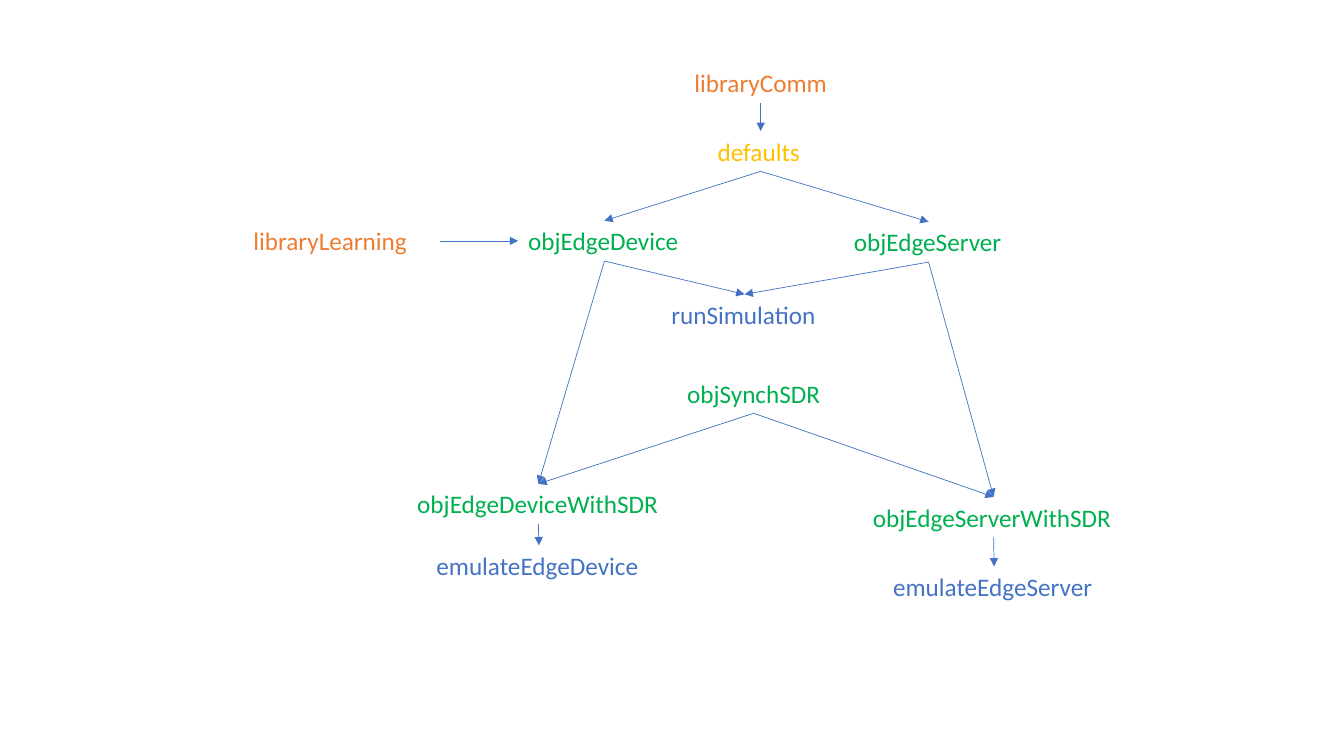
from dataclasses import dataclass

from lxml import etree
from pptx import Presentation
from pptx.dml.color import RGBColor
from pptx.enum.shapes import MSO_CONNECTOR
from pptx.enum.text import MSO_AUTO_SIZE, PP_ALIGN
from pptx.oxml.ns import qn
from pptx.util import Pt

STRAIGHT = MSO_CONNECTOR.STRAIGHT
GROW = MSO_AUTO_SIZE.SHAPE_TO_FIT_TEXT
CENTER, LEFT = PP_ALIGN.CENTER, PP_ALIGN.LEFT
TOP_SIDE, LEFT_SIDE, BOTTOM_SIDE, RIGHT_SIDE = range(4)

EMU_PER_PX = 9144
SLIDE_WIDTH, SLIDE_HEIGHT = 1333, 750
LABEL_HEIGHT = 40


@dataclass(frozen=True)
class Theme:
    font: str = "Calibri"
    label_size: int = 18
    line_width: float = 0.5
    library: str = "ED7D31"
    defaults: str = "FFC000"
    object: str = "00B050"
    script: str = "4472C4"
    arrow: str = "4472C4"


class DiagramPage:
    def __init__(self, deck, theme):
        self.theme = theme
        self.page = deck.slides.add_slide(deck.slide_layouts[6])

    def label(self, name, left, top, width, color, centered):
        box = self.page.shapes.add_textbox(
            *(px * EMU_PER_PX for px in (left, top, width, LABEL_HEIGHT)))
        frame = box.text_frame
        frame.word_wrap = centered
        frame.auto_size = GROW
        para = frame.paragraphs[0]
        para.alignment = CENTER if centered else LEFT
        span = para.add_run()
        span.text = name
        span.font.name = self.theme.font
        span.font.size = Pt(self.theme.label_size)
        span.font.color.rgb = RGBColor.from_string(color)
        return box

    def arrow(self, source, target, start_side=BOTTOM_SIDE, end_side=TOP_SIDE):
        connector = self.page.shapes.add_connector(STRAIGHT, 0, 0, 0, 0)
        connector.begin_connect(source, start_side)
        connector.end_connect(target, end_side)
        connector.line.width = Pt(self.theme.line_width)
        connector.line.color.rgb = RGBColor.from_string(self.theme.arrow)
        outline = connector.line._get_or_add_ln()
        etree.SubElement(outline, qn("a:tailEnd"), type="triangle")
        etree.SubElement(connector._element.spPr, qn("a:effectLst"))


def main():
    deck = Presentation()
    deck.slide_width = SLIDE_WIDTH * EMU_PER_PX
    deck.slide_height = SLIDE_HEIGHT * EMU_PER_PX
    theme = Theme()
    diagram = DiagramPage(deck, theme)

    labels = [
        ("libraryLearning", 219, 219, 217, theme.library, True),
        ("libraryComm", 646, 62, 217, theme.library, True),
        ("objEdgeDevice", 514, 219, 171, theme.object, False),
        ("objEdgeServer", 837, 220, 168, theme.object, False),
        ("defaults", 702, 130, 105, theme.defaults, False),
        ("objSynchSDR", 639, 370, 217, theme.object, True),
        ("emulateEdgeDevice", 423, 541, 223, theme.script, False),
        ("emulateEdgeServer", 876, 562, 220, theme.script, False),
        ("runSimulation", 656, 292, 165, theme.script, False),
        ("objEdgeDeviceWithSDR", 404, 480, 260, theme.object, False),
        ("objEdgeServerWithSDR", 856, 493, 259, theme.object, False),
    ]
    boxes = {label[0]: diagram.label(*label) for label in labels}

    dependents = {
        "libraryComm": ["defaults"],
        "defaults": ["objEdgeDevice", "objEdgeServer"],
        "objEdgeDevice": ["runSimulation", "objEdgeDeviceWithSDR"],
        "objEdgeServer": ["runSimulation", "objEdgeServerWithSDR"],
        "objSynchSDR": ["objEdgeDeviceWithSDR", "objEdgeServerWithSDR"],
        "objEdgeDeviceWithSDR": ["emulateEdgeDevice"],
        "objEdgeServerWithSDR": ["emulateEdgeServer"],
    }
    for source, targets in dependents.items():
        for target in targets:
            diagram.arrow(boxes[source], boxes[target])
    diagram.arrow(boxes["libraryLearning"], boxes["objEdgeDevice"],
                  RIGHT_SIDE, LEFT_SIDE)

    deck.save("out.pptx")


if __name__ == "__main__":
    main()
